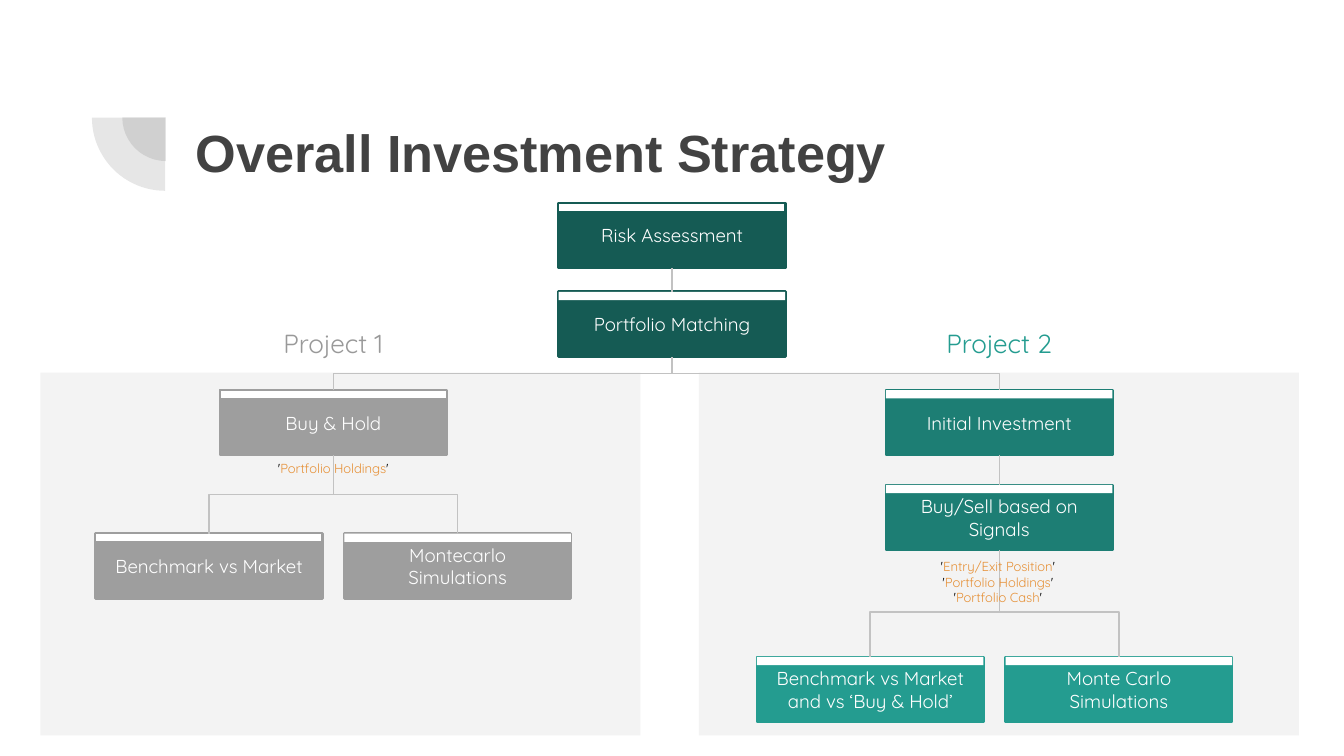
from lxml.etree import SubElement
from pptx import Presentation
from pptx.dml.color import RGBColor
from pptx.enum.shapes import MSO_CONNECTOR, MSO_SHAPE
from pptx.enum.text import MSO_ANCHOR, MSO_AUTO_SIZE, PP_ALIGN
from pptx.oxml.ns import qn
from pptx.util import Inches, Pt

THEME = {
    "ink": "424242", "panel": "F3F3F3", "line": "C2C2C2", "white": "FFFFFF",
    "black": "000000", "orange": "E69138", "label": "999999", "grey": "9E9E9E",
    "dark": "155B54", "mid": "1D7E74", "light": "249C90",
    "head": "Arial", "body": "Quicksand",
    "title": 28, "project": 14, "box": 10, "note": 7,
}
RGB = {k: RGBColor.from_string(v) for k, v in THEME.items()
       if isinstance(v, str) and len(v) == 6}

prs = Presentation()
prs.slide_width = Inches(10)
prs.slide_height = prs.slide_width * 9 // 16
s = prs.slides.add_slide(prs.slide_layouts[5])


def at(x, y, w=0, h=0):
    """Turn percentages of the slide's width and height into lengths."""
    across, down = prs.slide_width / 100, prs.slide_height / 100
    return [round(v) for v in (x * across, y * down, w * across, h * down)]


def write(sp, lines, size, font="body", bold=False, align=PP_ALIGN.CENTER,
          anchor=MSO_ANCHOR.MIDDLE):
    """Fill a shape with lines, each a list of (text, colour) runs."""
    tf = sp.text_frame
    frame = {"word_wrap": True, "vertical_anchor": anchor,
             "auto_size": MSO_AUTO_SIZE.NONE}
    frame.update({f"margin_{side}": Inches(0.1)
                  for side in ("left", "top", "right", "bottom")})
    for key, value in frame.items():
        setattr(tf, key, value)
    for i, runs in enumerate(lines):
        p = tf.add_paragraph() if i else tf.paragraphs[0]
        p.alignment = align
        for text, colour in runs:
            r = p.add_run()
            r.text = text
            r.font.color.rgb = RGB[colour]
            for key, value in {"name": THEME[font], "size": Pt(THEME[size]),
                               "bold": bold}.items():
                setattr(r.font, key, value)


# Title
title = s.shapes.title
title.left, title.top, title.width, title.height = at(13.55, 13.8, 76.9, 12.6)
write(title, [[("Overall Investment Strategy", "ink")]], "title", "head", True,
      PP_ALIGN.LEFT)

# Quarter circles beside the title
for x, y, w, h in [(9.1, 9.75, 6.5, 11.55), (6.85, 5.85, 10.9, 19.4)]:
    sp = s.shapes.add_shape(MSO_SHAPE.PIE, *at(x, y, w, h))
    sp.adjustments[0], sp.adjustments[1] = 108, 162
    sp.rotation = 270
    sp.shadow.inherit = False
    sp.line.fill.background()
    sp.fill.solid()
    sp.fill.fore_color.rgb = RGB["ink"]
    colour = sp.fill._xPr.find(qn("a:solidFill"))[0]
    SubElement(colour, qn("a:alpha")).set("val", "13000")

# Project panels
for x in (3, 52):
    sp = s.shapes.add_shape(MSO_SHAPE.RECTANGLE, *at(x, 49.3, 44.65, 48))
    sp.shadow.inherit = False
    sp.fill.solid()
    sp.fill.fore_color.rgb = RGB["panel"]
    sp.line.fill.background()

# Boxes: centre column, top row, colour, outlined strip
BOX_W, BOX_H, STRIP_H = 16.85, 8.6, 1.1
LEFT, MIDDLE, RIGHT, FORK, SPREAD = 24.8, 50, 74.35, 74, 9.25
boxes = {}
for text, centre, row, colour, outlined in [
    ("Risk Assessment", MIDDLE, 26.85, "dark", True),
    ("Portfolio Matching", MIDDLE, 38.6, "dark", False),
    ("Buy & Hold", LEFT, 51.6, "grey", True),
    ("Benchmark vs Market", LEFT - SPREAD, 70.6, "grey", True),
    ("Montecarlo Simulations", LEFT + SPREAD, 70.6, "grey", False),
    ("Initial Investment", RIGHT, 51.6, "mid", False),
    ("Buy/Sell based on Signals", RIGHT, 64.15, "mid", False),
    ("Benchmark vs Market and vs ‘Buy & Hold’", FORK - SPREAD, 86.9, "light", False),
    ("Monte Carlo Simulations", FORK + SPREAD, 86.9, "light", False),
]:
    for part, height, fill in [("box", BOX_H, colour), ("strip", STRIP_H, "white")]:
        sp = s.shapes.add_shape(MSO_SHAPE.RECTANGLE,
                                *at(centre - BOX_W / 2, row, BOX_W, height))
        sp.shadow.inherit = False
        sp.fill.solid()
        sp.fill.fore_color.rgb = RGB[fill]
        if part == "box" or outlined:
            sp.line.color.rgb = RGB[colour]
            sp.line.width = Pt(1.5 if part == "box" else 0.75)
        else:
            sp.line.fill.background()
        if part == "box":
            boxes[text] = sp
            write(sp, [[(text, "white")]], "box")

# Straight connectors between stacked boxes
connectors = []
for upper, lower in [("Risk Assessment", "Portfolio Matching"),
                     ("Initial Investment", "Buy/Sell based on Signals")]:
    c = s.shapes.add_connector(MSO_CONNECTOR.STRAIGHT, 0, 0, 0, 0)
    c.begin_connect(boxes[upper], 2)
    c.end_connect(boxes[lower], 0)
    connectors.append(c)

# Elbows that leave a box downwards, bend halfway and enter from above
for parent, child in [("Portfolio Matching", "Buy & Hold"),
                      ("Portfolio Matching", "Initial Investment"),
                      ("Buy & Hold", "Benchmark vs Market"),
                      ("Buy & Hold", "Montecarlo Simulations")]:
    a, b = boxes[parent], boxes[child]
    x1, y1 = a.left + a.width // 2, a.top + a.height
    x2, y2 = b.left + b.width // 2, b.top
    cx, cy, dx, dy = (x1 + x2) // 2, (y1 + y2) // 2, abs(x2 - x1) // 2, (y2 - y1) // 2
    c = s.shapes.add_connector(MSO_CONNECTOR.ELBOW, cx - dy, cy - dx, cx + dy, cy + dx)
    xfrm = c._element.spPr.find(qn("a:xfrm"))
    xfrm.set("rot", str(270 * 60000))
    if x2 > x1:
        xfrm.set("flipH", "1")
    connectors.append(c)

# Trunk below the signals box and its two single-bend branches
BUS = 80.95
c = s.shapes.add_connector(MSO_CONNECTOR.STRAIGHT, 0, 0, *at(RIGHT, BUS)[:2])
c.begin_connect(boxes["Buy/Sell based on Signals"], 2)
connectors.append(c)
for side in (-1, 1):
    c = s.shapes.add_connector(MSO_CONNECTOR.ELBOW, *at(FORK, BUS)[:2],
                               *at(FORK + side * SPREAD, 86.9)[:2])
    c._element.spPr.find(qn("a:prstGeom")).set("prst", "bentConnector2")
    connectors.append(c)

for c in connectors:
    c.line.color.rgb = RGB["line"]
    c.line.width = Pt(0.75)
    SubElement(c._element.spPr, qn("a:effectLst"))

# Notes in quotes
for x, y, h, names in [
    (17.45, 59.2, 5.7, ["Portfolio Holdings"]),
    (66.9, 72.1, 10, ["Entry/Exit Position", "Portfolio Holdings", "Portfolio Cash"]),
]:
    write(s.shapes.add_textbox(*at(x, y, 14.7, h)),
          [[("'", "black"), (name, "orange"), ("'", "black")] for name in names],
          "note", anchor=MSO_ANCHOR.TOP)

# Project headings
for text, centre, colour in [("Project 1", LEFT, "label"), ("Project 2", RIGHT, "light")]:
    write(s.shapes.add_textbox(*at(centre - 5.15, 41.55, 10.3, 7.8)),
          [[(text, colour)]], "project", anchor=MSO_ANCHOR.TOP)

prs.save("out.pptx")
